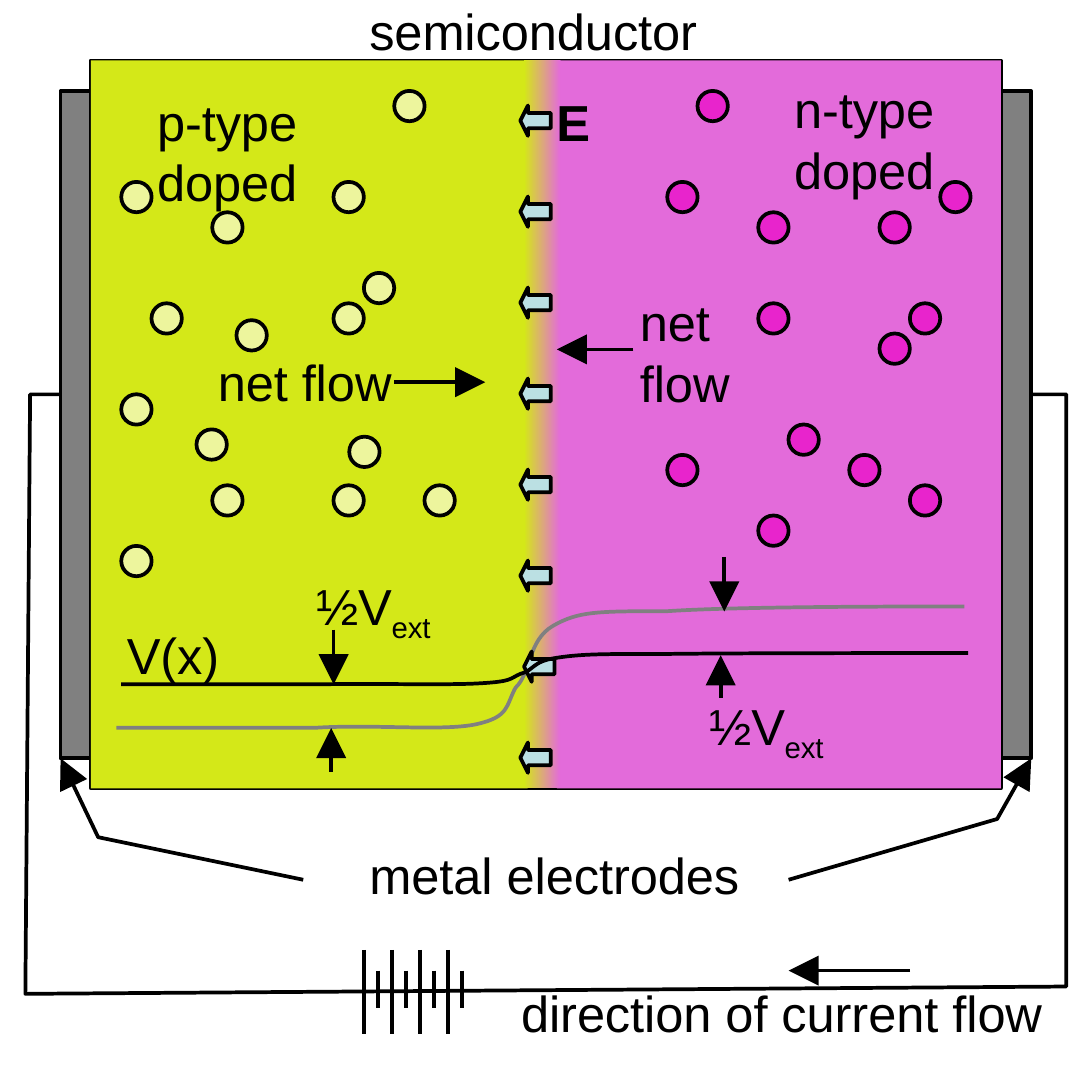
from typing import NamedTuple

from lxml.etree import SubElement
from pptx import Presentation
from pptx.dml.color import RGBColor
from pptx.enum.shapes import MSO_CONNECTOR as Connector, MSO_SHAPE as Preset
from pptx.enum.text import MSO_AUTO_SIZE as AutoSize
from pptx.oxml.ns import qn
from pptx.shapes.autoshape import Shape
from pptx.shapes.shapetree import GroupShapes, SlideShapes
from pptx.util import Inches, Length, Pt

COLORS = {
    "black": "000000", "gray": "808080", "semiconductor": "EEF7F8",
    "p_side": "D4E818", "n_side": "E36BDA", "hole": "EDF59D",
    "electron": "E824CC", "field": "BBE0E3",
}
STROKE = Pt(0.75)
DOT = 0.08
Point = tuple[float, float]


class Block(NamedTuple):
    left: float
    top: float
    width: float
    height: float
    fill: str
    outlined: bool = True
    preset: Preset = Preset.RECTANGLE


class Label(NamedTuple):
    left: float
    top: float
    width: float
    height: float
    lines: list[str]
    subscript: str = ""
    bold: bool = False


class Arrow(NamedTuple):
    start: Point
    end: Point


class Polyline(NamedTuple):
    points: list[Point]
    arrow: bool = False
    color: str = "black"


BLOCKS = [
    Block(0.25, 0.17, 2.5, 2, "semiconductor"),
    Block(0.17, 0.25, 0.08, 1.83, "gray"),
    Block(2.75, 0.25, 0.08, 1.83, "gray"),
    Block(0.25, 0.17, 1.2, 2, "p_side", outlined=False),
    Block(1.53, 0.17, 1.22, 2, "n_side", outlined=False),
]
JUNCTION = Block(1.44, 0.17, 0.1, 2, "p_side", outlined=False)

WIRE = Polyline([(0.17, 1.08), (0.08, 1.08), (0.07, 2.73),
                 (2.93, 2.71), (2.93, 1.08), (2.83, 1.08)])
ELECTRODE_POINTERS = [
    Polyline([(0.83, 2.42), (0.27, 2.3), (0.17, 2.08)], arrow=True),
    Polyline([(2.17, 2.42), (2.74, 2.25), (2.83, 2.08)], arrow=True),
]
CARRIERS: dict[str, list[Point]] = {
    "electron": [
        (2.08, 0.83), (2.42, 0.58), (2.17, 1.17), (2.5, 1.33), (2.58, 0.5),
        (1.83, 1.25), (2.08, 1.42), (2.42, 0.92), (2.33, 1.25), (1.92, 0.25),
        (2.5, 0.83), (1.83, 0.5), (2.08, 0.58),
    ],
    "hole": [
        (0.42, 0.83), (0.65, 0.88), (0.92, 0.83), (0.92, 1.33), (0.33, 1.08),
        (0.58, 1.33), (0.58, 0.58), (1.08, 0.25), (0.96, 1.2), (1.17, 1.33),
        (0.54, 1.18), (1, 0.75), (0.92, 0.5), (0.33, 1.5), (0.33, 0.5),
    ],
}
# Start point, then two control points and an end point per Bezier segment.
POTENTIAL: list[Point] = [
    (0.32, 2), (0.41, 2), (0.7, 2), (0.87, 2), (1.03, 1.99), (1.22, 2.01),
    (1.31, 1.99), (1.4, 1.97), (1.39, 1.94), (1.42, 1.89), (1.46, 1.85),
    (1.45, 1.76), (1.52, 1.72), (1.59, 1.68), (1.64, 1.68), (1.83, 1.68),
    (2.02, 1.67), (2.48, 1.67), (2.65, 1.67),
]
BIASED_POTENTIAL = [(x + 0.01, 1.88 - 0.26 * (2 - y)) for x, y in POTENTIAL]

LABELS = [
    Label(0.92, 2.27, 1.21, 0.27, ["metal electrodes"]),
    Label(0.33, 0.2, 0.58, 0.44, ["p-type", "doped"]),
    Label(2.08, 0.17, 0.58, 0.44, ["n-type", "doped"]),
    Label(1.43, 0.2, 0.29, 0.27, ["E"], bold=True),
    Label(0.25, 1.67, 0.45, 0.27, ["V(x)"]),
    Label(0.5, 0.92, 0.67, 0.27, ["net flow"]),
    Label(1.66, 0.75, 0.44, 0.44, ["net", "flow"]),
    Label(0.92, -0.05, 1.1, 0.27, ["semiconductor"]),
    Label(0.77, 1.53, 0.51, 0.29, ["½V"], subscript="ext"),
    Label(1.85, 1.86, 0.51, 0.29, ["½V"], subscript="ext"),
    Label(1.33, 2.65, 1.63, 0.27, ["direction of current flow"]),
]
ARROWS = [
    Arrow((0.92, 1.73), (0.92, 1.88)), Arrow((0.91, 2.12), (0.91, 2)),
    Arrow((1.99, 1.53), (1.99, 1.68)), Arrow((1.98, 1.92), (1.98, 1.8)),
    Arrow((1.08, 1.05), (1.33, 1.05)), Arrow((1.74, 0.96), (1.53, 0.96)),
    Arrow((2.5, 2.67), (2.17, 2.67)),
]


def rgb(name: str) -> RGBColor:
    return RGBColor.from_string(COLORS[name])


def snap(value: float) -> Length:
    """Convert inches, pulling values near a twelfth of an inch onto it."""
    twelfth = round(value * 12) / 12
    return Inches(twelfth if abs(twelfth - value) < 0.005 else value)


def draw_block(shapes: SlideShapes, block: Block) -> Shape:
    box = shapes.add_shape(block.preset, *map(snap, block[:4]))
    box.shadow.inherit = False
    box.fill.solid()
    box.fill.fore_color.rgb = rgb(block.fill)
    if block.outlined:
        box.line.color.rgb = rgb("black")
        box.line.width = STROKE
    else:
        box.line.fill.background()
    return box


def draw_junction(shapes: SlideShapes) -> None:
    fill = draw_block(shapes, JUNCTION).fill
    fill.gradient()
    fill.gradient_angle = 0
    for stop, position, side in zip(fill.gradient_stops, (0, 1), ("p_side", "n_side")):
        stop.position = position
        stop.color.rgb = rgb(side)


def add_arrowhead(shape) -> None:
    SubElement(shape._element.spPr.get_or_add_ln(), qn("a:tailEnd"), type="triangle")


def draw_polyline(shapes: SlideShapes, polyline: Polyline) -> Shape:
    start, *rest = [(snap(x), snap(y)) for x, y in polyline.points]
    builder = shapes.build_freeform(*start)
    builder.add_line_segments(rest, close=False)
    outline = builder.convert_to_shape()
    outline.shadow.inherit = False
    outline.fill.background()
    outline.line.color.rgb = rgb(polyline.color)
    outline.line.width = STROKE
    if polyline.arrow:
        add_arrowhead(outline)
    return outline


def draw_curve(shapes: SlideShapes, points: list[Point], color: str) -> None:
    """Turn each three line segments of a polyline into one Bezier segment."""
    curve = draw_polyline(shapes, Polyline(points, color=color))
    segments = list(curve._element.iter(qn("a:lnTo")))
    for first, second, third in zip(*[iter(segments)] * 3):
        first.tag = qn("a:cubicBezTo")
        for extra in (second, third):
            first.append(extra[0])
            extra.getparent().remove(extra)


def draw_line(shapes: SlideShapes | GroupShapes, start: Point, end: Point,
              arrow: bool = False) -> None:
    line = shapes.add_connector(Connector.STRAIGHT, *map(snap, start + end))
    line.line.color.rgb = rgb("black")
    line.line.width = STROKE
    if arrow:
        add_arrowhead(line)
    SubElement(line._element.spPr, qn("a:effectLst"))


def draw_battery(shapes: SlideShapes) -> None:
    cells = shapes.add_group_shape().shapes
    for i in range(8):
        x = 1 + i * 0.27 / 7
        top, bottom = (2.67, 2.77) if i % 2 else (2.61, 2.84)
        draw_line(cells, (x, top), (x, bottom))


def draw_label(shapes: SlideShapes, label: Label) -> None:
    frame = shapes.add_textbox(*map(snap, label[:4])).text_frame
    frame.word_wrap = False
    frame.auto_size = AutoSize.SHAPE_TO_FIT_TEXT
    frame.margin_right = Inches(0.05)
    for i, line in enumerate(label.lines):
        para = frame.add_paragraph() if i else frame.paragraphs[0]
        for text in filter(None, (line, label.subscript)):
            span = para.add_run()
            span.text = text
            span.font.name = "Arial"
            span.font.size = Pt(10)
            span.font.bold = label.bold
            span.font.color.rgb = rgb("black")
            if text == label.subscript:
                span.font._element.set("baseline", "-25000")


def draw_field(shapes: SlideShapes) -> None:
    for i in range(8):
        left = 1.44 if i == 6 else 1.43
        arrow = draw_block(shapes, Block(left, 0.29 + 0.25 * i, DOT, DOT, "field",
                                         preset=Preset.LEFT_ARROW))
        arrow.adjustments[1] = 0.25


def main() -> None:
    deck = Presentation()
    deck.slide_width = deck.slide_height = Inches(3)
    shapes = deck.slides.add_slide(deck.slide_layouts[6]).shapes
    draw_polyline(shapes, WIRE)
    for block in BLOCKS:
        draw_block(shapes, block)
    draw_junction(shapes)
    for pointer in ELECTRODE_POINTERS:
        draw_polyline(shapes, pointer)
    for kind, places in CARRIERS.items():
        for left, top in places:
            draw_block(shapes, Block(left, top, DOT, DOT, kind, preset=Preset.OVAL))
    draw_curve(shapes, POTENTIAL, "gray")
    draw_field(shapes)
    draw_curve(shapes, BIASED_POTENTIAL, "black")
    for arrow in ARROWS:
        draw_line(shapes, arrow.start, arrow.end, arrow=True)
    draw_battery(shapes)
    for label in LABELS:
        draw_label(shapes, label)
    deck.save("out.pptx")


if __name__ == "__main__":
    main()
